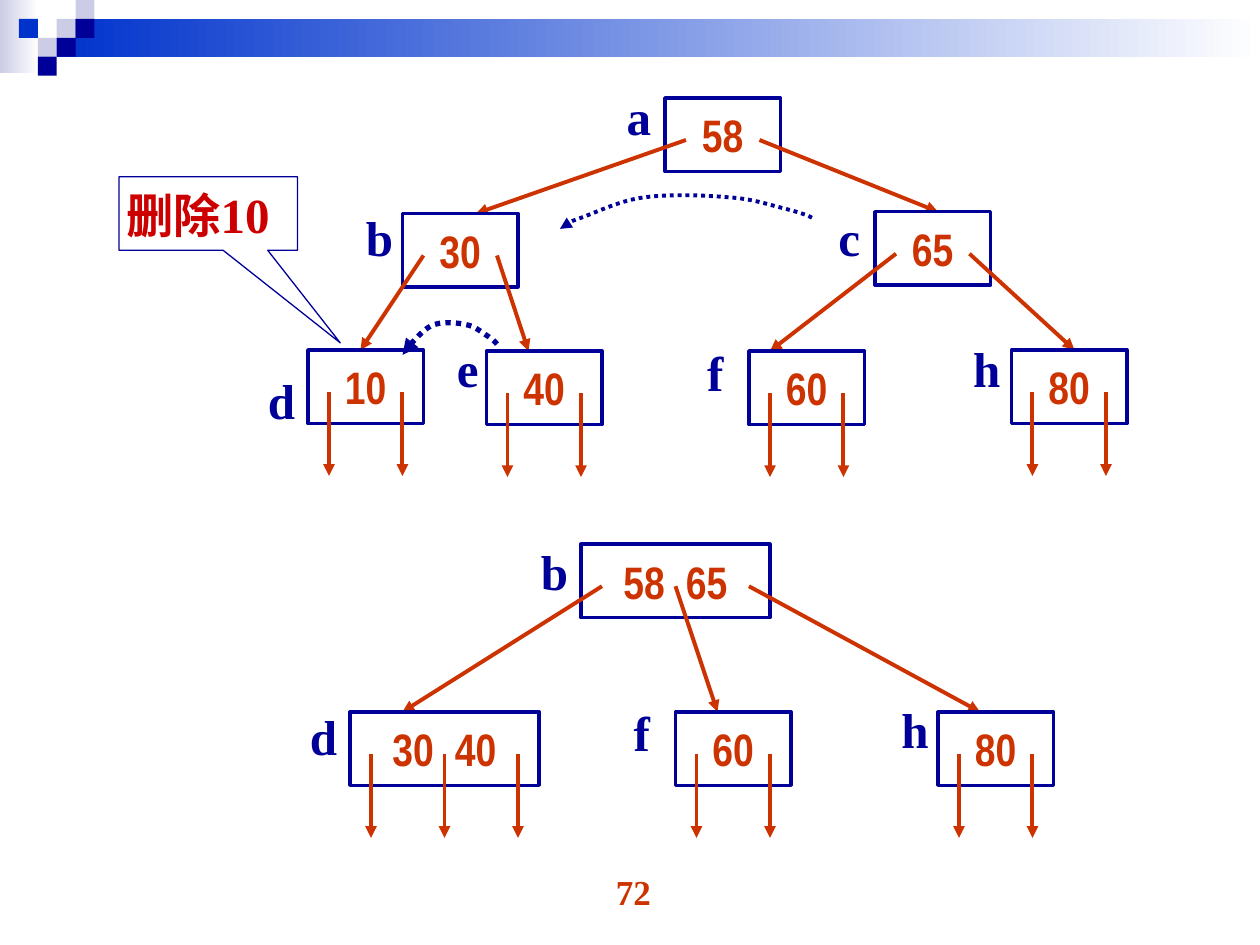
"""Draw a B-tree before and after deleting key 10."""
from dataclasses import dataclass

from lxml import etree
from pptx import Presentation
from pptx import util as u
from pptx.dml.color import RGBColor
from pptx.enum import dml, shapes, text
from pptx.oxml import ns

COLORS = {"navy": "000099", "blue": "0033CC", "pale": "CCCCE6",
          "white": "FFFFFF", "rust": "CC3300", "red": "CC0000"}
CELL = u.Inches(1) / 36
SERIF, NARROW = "Times New Roman", "Arial Narrow"
KEY_ROW, NODE_ROWS, LEAF_ROWS = 12, 21, 24
FIRST_SLOT, SLOT_STEP = 6, 21
TILE = 5.4
ARC = [(1, .68), (.97, .57), (.935, .5), (.875, .39), (.82, .29), (.76, .14),
       (.67, .1), (.58, .04), (.435, 0), (.335, .1), (.24, .18), (.14, .54),
       (.085, .68), (.03, .82), (.015, .94), (0, 1)]


@dataclass(frozen=True)
class Node:
    name: str
    keys: tuple[str, ...]
    column: float
    row: float
    label_column: float
    label_row: float
    children: tuple[tuple[str, float], ...] = ()

    @property
    def columns(self) -> float:
        return 33 if len(self.keys) == 1 else 54


@dataclass(frozen=True)
class Tile:
    column: int
    row: int
    color: str


@dataclass(frozen=True)
class Arc:
    column: float
    row: float
    columns: float
    rows: float
    weight: float


BEFORE = (
    Node("a", ("58",), 190, 28, 175.5, 23, (("b", 21), ("c", 18))),
    Node("b", ("30",), 115, 61, 101, 57.5, (("d", 15), ("e", 12))),
    Node("c", ("65",), 250, 60.5, 236, 57.5, (("f", 6), ("h", 18))),
    Node("d", ("10",), 88, 100, 73, 104),
    Node("e", ("40",), 139, 100.3, 127, 95),
    Node("f", ("60",), 214, 100.3, 198.5, 96),
    Node("h", ("80",), 289, 100, 274.5, 95),
)
AFTER = (
    Node("b", ("58", "65"), 166, 155.5, 151, 153,
         (("d", 15), ("f", 12), ("h", 12))),
    Node("d", ("30", "40"), 100, 203.4, 85, 200),
    Node("f", ("60",), 193, 203.4, 177.5, 199),
    Node("h", ("80",), 268, 203.4, 254, 198),
)
TILES = (Tile(3, 1, "pale"), Tile(4, 0, "pale"), Tile(4, 1, "navy"),
         Tile(2, 2, "pale"), Tile(1, 1, "blue"), Tile(3, 2, "navy"),
         Tile(2, 3, "navy"))
ARCS = (Arc(160, 55.4, 72, 10, 2.25), Arc(115, 91.8, 27, 9.6, 3))


def grid(cells: float) -> int:
    return round(cells * CELL)


def rgb(name: str) -> RGBColor:
    return RGBColor.from_string(COLORS[name])


def add_shape(page, kind, column: float, row: float, columns: float, rows: float):
    shape = page.shapes.add_shape(kind, *map(grid, (column, row, columns, rows)))
    shape.shadow.inherit = False
    shape.fill.background()
    shape.line.fill.background()
    return shape


def outline(shape, color: str, weight: float) -> None:
    shape.line.color.rgb = rgb(color)
    shape.line.width = u.Pt(weight)


def add_arrowhead(line) -> None:
    etree.SubElement(line.line._get_or_add_ln(), ns.qn("a:tailEnd"), type="triangle")


def style(para, size: float, color: str, face: str = SERIF,
          align=text.PP_ALIGN.LEFT) -> None:
    para.alignment = align
    para.font.name = face
    para.font.size = u.Pt(size)
    para.font.bold = True
    para.font.color.rgb = rgb(color)


def add_text(page, column: float, row: float, columns: float, rows: float):
    box = page.shapes.add_textbox(*map(grid, (column, row, columns, rows)))
    box.text_frame.word_wrap = True
    return box.text_frame.paragraphs[0]


def add_arrow(page, start: tuple[float, float], end: tuple[float, float]) -> None:
    arrow = page.shapes.add_connector(
        shapes.MSO_CONNECTOR.STRAIGHT, *map(grid, (*start, *end)))
    outline(arrow, "rust", 2.25)
    add_arrowhead(arrow)
    etree.SubElement(arrow._element.spPr, ns.qn("a:effectLst"))


def add_node(page, node: Node) -> None:
    rect = add_shape(page, shapes.MSO_SHAPE.RECTANGLE,
                     node.column, node.row, node.columns, NODE_ROWS)
    outline(rect, "navy", 2)
    rect.text_frame.vertical_anchor = text.MSO_ANCHOR.MIDDLE
    para = rect.text_frame.paragraphs[0]
    for index, key in enumerate(node.keys):
        if index:
            gap = para.add_run()
            gap.text = " "
            gap.font._element.set("spc", "600")
        para.add_run().text = key
    style(para, 26, "rust", NARROW, text.PP_ALIGN.CENTER)
    label = add_text(page, node.label_column, node.label_row, 16, 20.5)
    label.text = node.name
    style(label, 28, "navy")


def add_tree(page, nodes: tuple[Node, ...]) -> None:
    by_name = {node.name: node for node in nodes}
    for node in nodes:
        add_node(page, node)
        for slot in range(len(node.keys) + 1):
            column = node.column + FIRST_SLOT + slot * SLOT_STEP
            row = node.row + KEY_ROW
            end = (column, row + LEAF_ROWS)
            if node.children:
                name, landing = node.children[slot]
                child = by_name[name]
                end = (child.column + landing, child.row)
            add_arrow(page, (column, row), end)


def add_arc(page, arc: Arc) -> None:
    points = [(grid(arc.column + x * arc.columns), grid(arc.row + y * arc.rows))
              for x, y in ARC]
    builder = page.shapes.build_freeform(*points[0])
    builder.add_line_segments(points[1:], close=False)
    curve = builder.convert_to_shape()
    curve.shadow.inherit = False
    curve.fill.background()
    outline(curve, "navy", arc.weight)
    curve.line.dash_style = dml.MSO_LINE.ROUND_DOT
    add_arrowhead(curve)
    outline_path = next(curve._element.iter(ns.qn("a:path")))
    segments = outline_path.findall(ns.qn("a:lnTo"))
    for first in range(0, len(segments), 3):
        bezier = etree.SubElement(outline_path, ns.qn("a:cubicBezTo"))
        for segment in segments[first:first + 3]:
            bezier.append(segment[0])
            outline_path.remove(segment)


def add_banner(page) -> None:
    for area, color in (((0, 0, 11, 21), "pale"),
                        ((3 * TILE, TILE, 360 - 3 * TILE, 2 * TILE), "blue")):
        band = add_shape(page, shapes.MSO_SHAPE.RECTANGLE, *area)
        band.fill.gradient()
        band.fill.gradient_angle = 0
        for stop, name in zip(band.fill.gradient_stops, (color, "white")):
            stop.color.rgb = rgb(name)
    for tile in TILES:
        square = add_shape(page, shapes.MSO_SHAPE.RECTANGLE,
                           tile.column * TILE, tile.row * TILE, TILE, TILE)
        square.fill.solid()
        square.fill.fore_color.rgb = rgb(tile.color)


def add_callout(page) -> None:
    callout = add_shape(page, shapes.MSO_SHAPE.RECTANGULAR_CALLOUT, 34, 50.5, 51, 21)
    callout.adjustments[0], callout.adjustments[1] = 0.74, 1.76
    outline(callout, "navy", 0.75)
    para = add_text(page, 32.5, 51, 60, 20.5)
    action, key = para.add_run(), para.add_run()
    action.text, key.text = "删除", "10"
    action.font.size = u.Pt(27)
    style(para, 28, "red")


def main() -> None:
    deck = Presentation()
    deck.slide_width, deck.slide_height = u.Inches(10), u.Inches(7.5)
    page = deck.slides.add_slide(deck.slide_layouts[6])
    add_banner(page)
    add_callout(page)
    for tree in (BEFORE, AFTER):
        add_tree(page, tree)
    for arc in ARCS:
        add_arc(page, arc)
    number = add_text(page, 139, 247, 84, 18.5)
    number.text = "72"
    style(number, 20, "rust", align=text.PP_ALIGN.CENTER)
    deck.save("out.pptx")


if __name__ == "__main__":
    main()
